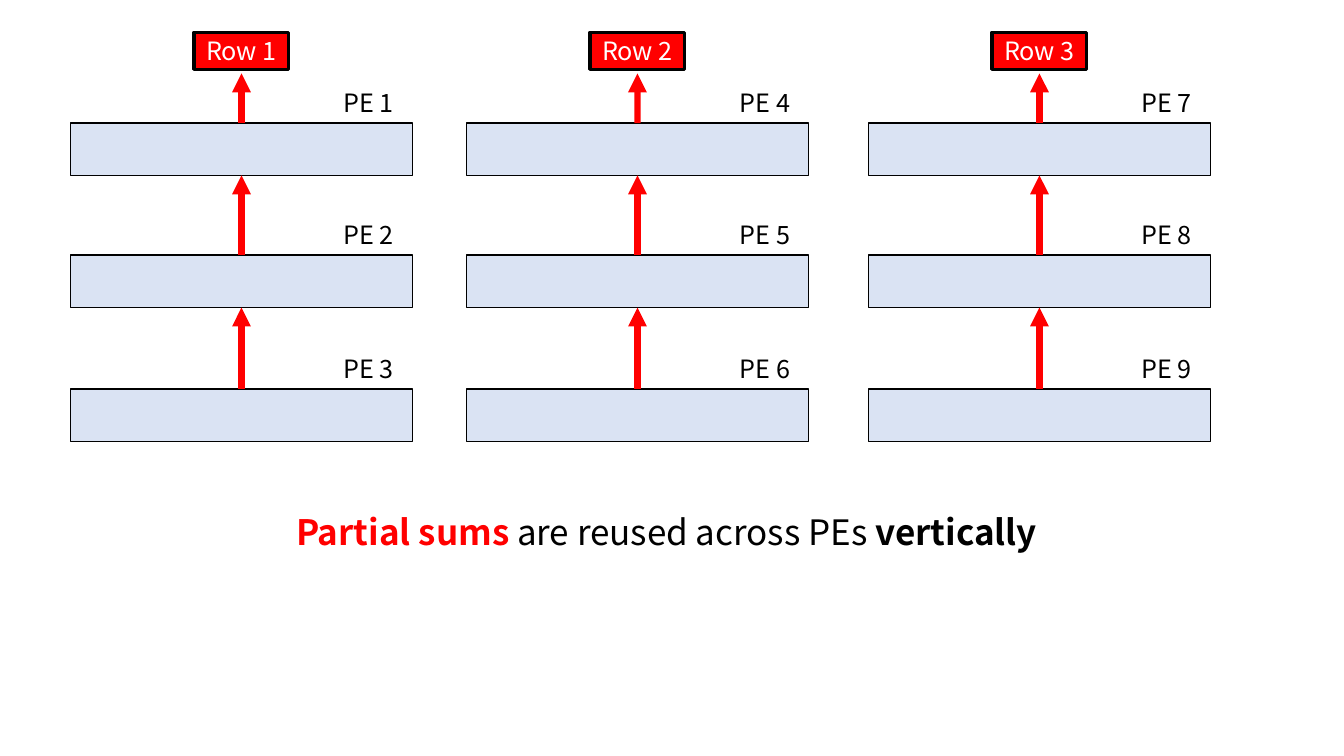
"""Build a slide showing partial sums moving up through columns of processing elements."""
from lxml import etree
from pptx import Presentation
from pptx import util as u
from pptx.dml.color import RGBColor
from pptx.enum import shapes, text
from pptx.oxml.ns import qn

BLACK = RGBColor(0x00, 0x00, 0x00)
WHITE = RGBColor(0xFF, 0xFF, 0xFF)
RED = RGBColor(0xFF, 0x00, 0x00)
PALE_BLUE = RGBColor(0xDA, 0xE3, 0xF3)
FONT = "Noto Sans CJK KR"

COLUMN_LEFTS = (1.78, 11.76, 21.89)
ELEMENT_TOPS = (3.1, 6.43, 9.8)
ELEMENT_WIDTH, ELEMENT_HEIGHT = 8.61, 1.32
LABEL_OFFSET, LABEL_WIDTH, LABEL_HEIGHT = 6.63, 1.78, 1.02
ROW_TOP, ROW_WIDTH, ROW_HEIGHT = 0.81, 2.39, 0.94
OUTPUT_ARROW_END = 1.85


def add_box(left, top, width, height, fill, line_width):
    shape = slide.shapes.add_shape(
        shapes.MSO_SHAPE.RECTANGLE, u.Cm(left), u.Cm(top), u.Cm(width), u.Cm(height))
    shape.shadow.inherit = False
    shape.fill.solid()
    shape.fill.fore_color.rgb = fill
    shape.line.color.rgb = BLACK
    shape.line.width = u.Pt(line_width)
    return shape


def format_run(run, size, color, bold=False):
    run.font.name = FONT
    run.font.size = u.Pt(size)
    run.font.color.rgb = color
    run.font.bold = bold


presentation = Presentation()
presentation.slide_width = u.Cm(33.87)
presentation.slide_height = u.Cm(19.05)
slide = presentation.slides.add_slide(presentation.slide_layouts[6])

for column, left in enumerate(COLUMN_LEFTS):
    elements = []
    for position, top in enumerate(ELEMENT_TOPS):
        elements.append(add_box(left, top, ELEMENT_WIDTH, ELEMENT_HEIGHT, PALE_BLUE, 1))
        label = slide.shapes.add_textbox(
            u.Cm(left + LABEL_OFFSET), u.Cm(top - LABEL_HEIGHT),
            u.Cm(LABEL_WIDTH), u.Cm(LABEL_HEIGHT))
        label.text_frame.word_wrap = False
        label.text_frame.auto_size = text.MSO_AUTO_SIZE.SHAPE_TO_FIT_TEXT
        label.text_frame.text = f"PE {column * len(ELEMENT_TOPS) + position + 1}"
        format_run(label.text_frame.paragraphs[0].runs[0], 18, BLACK)

    center = left + ELEMENT_WIDTH / 2
    for target, element in zip([None] + elements, elements):
        arrow = slide.shapes.add_connector(
            shapes.MSO_CONNECTOR.STRAIGHT, u.Cm(center), element.top,
            u.Cm(center), u.Cm(OUTPUT_ARROW_END))
        arrow.begin_connect(element, 0)
        if target is not None:
            arrow.end_connect(target, 2)
        arrow.line.color.rgb = RED
        arrow.line.width = u.Pt(4.5)
        etree.SubElement(arrow.line._get_or_add_ln(), qn("a:tailEnd"), type="triangle")
        etree.SubElement(arrow._element.spPr, qn("a:effectLst"))

    row = add_box(center - ROW_WIDTH / 2, ROW_TOP, ROW_WIDTH, ROW_HEIGHT, RED, 2.25)
    row.text_frame.text = f"Row {column + 1}"
    row.text_frame.vertical_anchor = text.MSO_ANCHOR.MIDDLE
    paragraph = row.text_frame.paragraphs[0]
    paragraph.alignment = text.PP_ALIGN.CENTER
    format_run(paragraph.runs[0], 18, WHITE)

caption = slide.shapes.add_textbox(u.Cm(3.61), u.Cm(12.75), u.Cm(26.37), u.Cm(1.32))
caption.text_frame.word_wrap = True
caption.text_frame.auto_size = text.MSO_AUTO_SIZE.SHAPE_TO_FIT_TEXT
paragraph = caption.text_frame.paragraphs[0]
paragraph.alignment = text.PP_ALIGN.CENTER
for words, color, bold in (
    ("Partial sums", RED, True),
    (" are reused across PEs ", BLACK, False),
    ("vertically", BLACK, True),
):
    run = paragraph.add_run()
    run.text = words
    format_run(run, 25, color, bold)

presentation.save("out.pptx")
